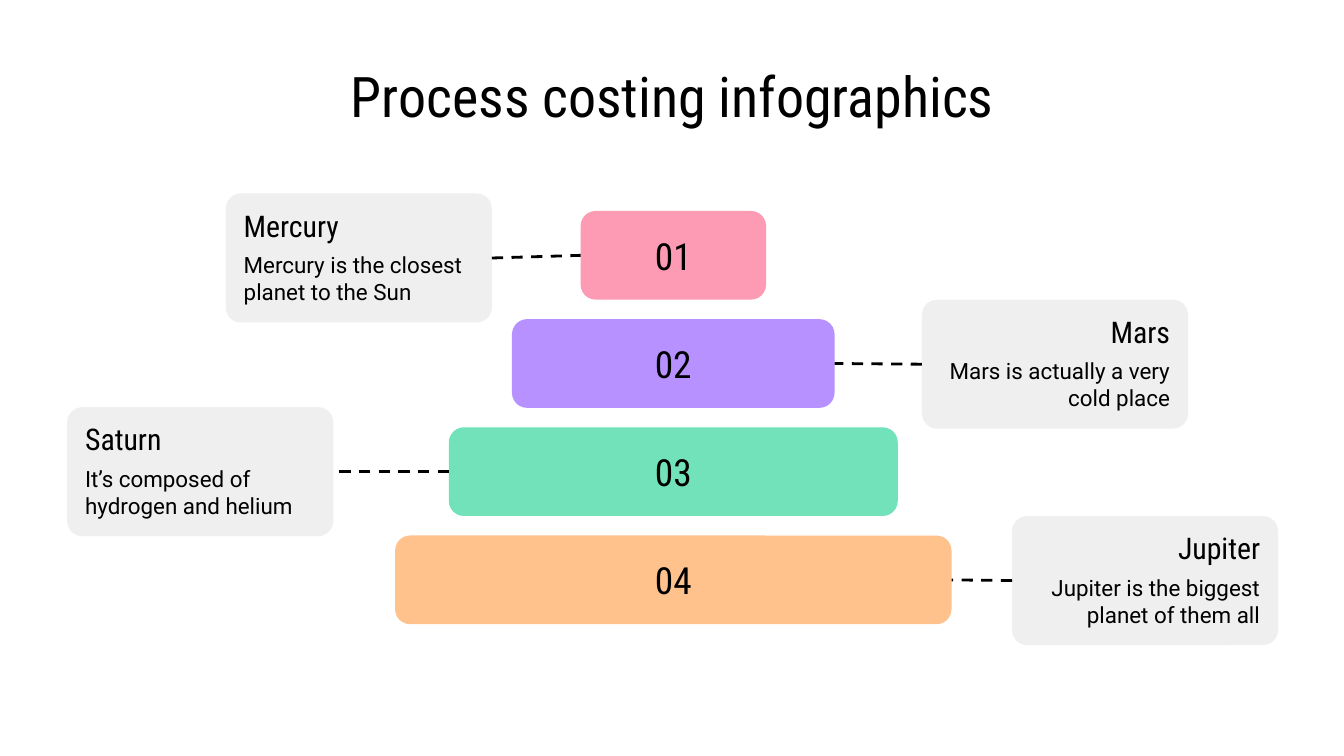
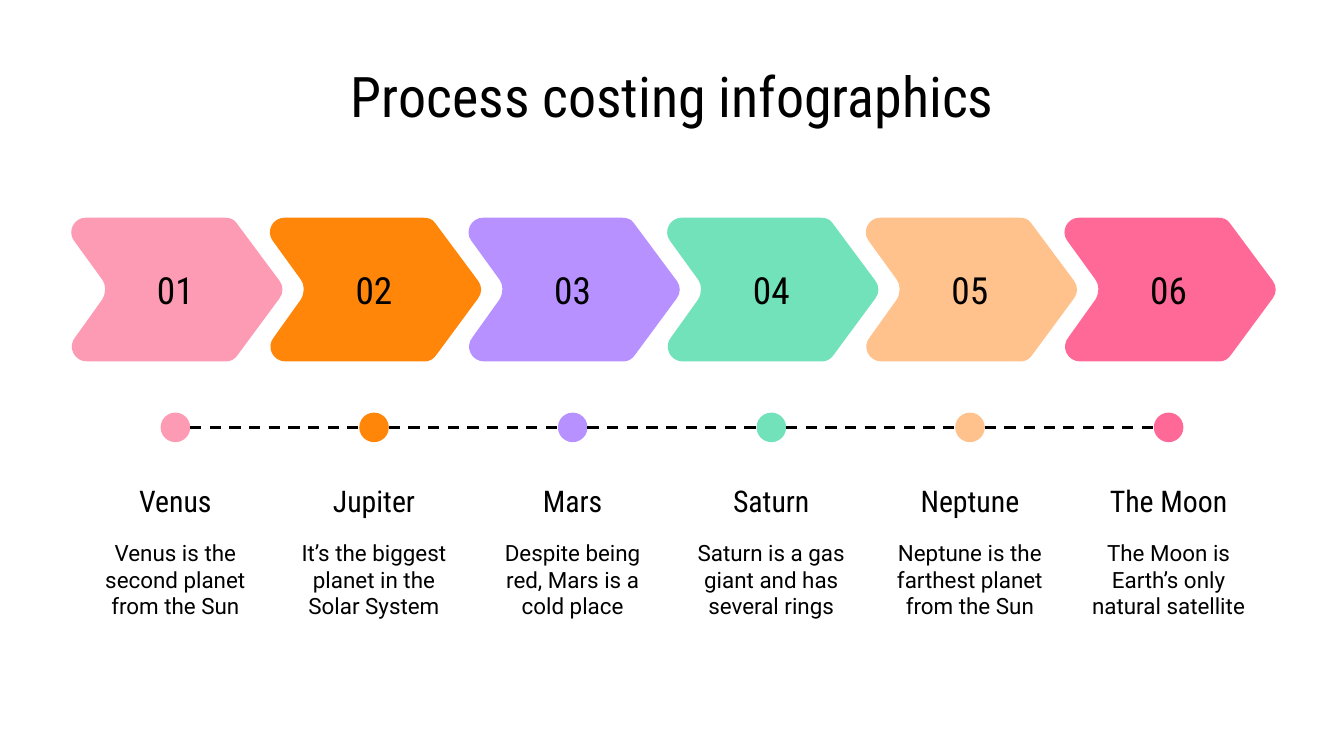
from lxml import etree
from pptx import Presentation
from pptx import util as u
from pptx.dml.color import RGBColor
from pptx.enum import dml, shapes, text
from pptx.oxml.ns import qn

TITLE = "Process costing infographics"
HEAD, BODY = "Roboto Condensed", "Roboto"
COLORS = {
    "ink": "000000", "card": "EFEFEF", "pink": "FD9AB4", "orange": "FF8609",
    "violet": "B791FF", "mint": "71E2B9", "peach": "FFC28C", "rose": "FF6997",
}
ALIGN = {"left": text.PP_ALIGN.LEFT, "center": text.PP_ALIGN.CENTER, "right": text.PP_ALIGN.RIGHT}
MIDDLE, TOP = text.MSO_ANCHOR.MIDDLE, text.MSO_ANCHOR.TOP

WIDTH, HEIGHT, MARGIN = 10, 5.625, 0.5
PYRAMID = [
    ("pink", 1.38, "left", 1.68, 1.44, "card", "Mercury", "Mercury is the closest planet to the Sun"),
    ("violet", 2.4, "right", 6.86, 2.23, "card", "Mars", "Mars is actually a very cold place"),
    ("mint", 3.34, "left", 0.5, 3.03, "bar", "Saturn", "It’s composed of hydrogen and helium"),
    ("peach", 4.14, "right", 7.53, 3.84, "card", "Jupiter", "Jupiter is the biggest planet of them all"),
]
BAR_CENTER, BAR_TOP, BAR_HEIGHT, BAR_PITCH = 5.01, 1.57, 0.66, 0.805
CARD_WIDTH, CARD_HEIGHT = 1.98, 0.96

STEPS = [
    ("pink", "Venus", "Venus is the second planet from the Sun"),
    ("orange", "Jupiter", "It’s the biggest planet in the Solar System"),
    ("violet", "Mars", "Despite being red, Mars is a cold place"),
    ("mint", "Saturn", "Saturn is a gas giant and has several rings"),
    ("peach", "Neptune", "Neptune is the farthest planet from the Sun"),
    ("rose", "The Moon", "The Moon is Earth’s only natural satellite"),
]
STEP_WIDTH, STEP_TOP = 1.61, 1.62
STEP_PITCH = (WIDTH - 2 * MARGIN - STEP_WIDTH) / (len(STEPS) - 1)
DOT, DOT_MIDDLE = 0.22, 3.18
CHEVRON_CORNERS = [
    ((0.14, 0), (0.05, 0), (0, 0.1), (0.05, 0.17)),
    ((0.26, 0.46), (0.29, 0.5), (0.29, 0.56), (0.26, 0.61)),
    ((0.06, 0.89), (0, 0.96), (0.05, 1.07), (0.15, 1.07)),
    ((1.18, 1.07), (1.22, 1.07), (1.25, 1.05), (1.27, 1.02)),
    ((1.58, 0.6), (1.61, 0.56), (1.61, 0.51), (1.58, 0.47)),
    ((1.26, 0.04), (1.24, 0.01), (1.21, 0), (1.17, 0)),
]


def inches(*lengths):
    return [u.Inches(length) for length in lengths]


def color(name):
    return RGBColor.from_string(COLORS[name])


def write(shape, words, size, font=HEAD, align="center", anchor=MIDDLE):
    frame = shape.text_frame
    frame.word_wrap = True
    frame.auto_size = text.MSO_AUTO_SIZE.NONE
    frame.vertical_anchor = anchor
    frame.margin_left = frame.margin_right = u.Inches(0.1)
    frame.margin_top = frame.margin_bottom = u.Inches(0.1)
    para = frame.paragraphs[0]
    para.alignment = ALIGN[align]
    span = para.add_run()
    span.text = words
    span.font.name = font
    span.font.size = u.Pt(size)
    span.font.color.rgb = color("ink")


def add_text(page, place, words, size, **style):
    write(page.shapes.add_textbox(*inches(*place)), words, size, **style)


def paint(shape, fill):
    shape.shadow.inherit = False
    shape.fill.solid()
    shape.fill.fore_color.rgb = color(fill)
    shape.line.fill.background()


def add_block(page, kind, place, fill, corner=None):
    block = page.shapes.add_shape(kind, *inches(*place))
    paint(block, fill)
    if corner is not None:
        block.adjustments[0] = corner
    return block


def add_dashes(page, start=(0, 0), end=(0, 0)):
    line = page.shapes.add_connector(shapes.MSO_CONNECTOR.STRAIGHT, *inches(*start, *end))
    line.line.color.rgb = color("ink")
    line.line.width = u.Pt(1.5)
    line.line.dash_style = dml.MSO_LINE.DASH
    etree.SubElement(line._element.spPr, qn("a:effectLst"))
    return line


def add_page(deck):
    page = deck.slides.add_slide(deck.slide_layouts[5])
    title = page.shapes.title
    title.left, title.top, title.width, title.height = inches(MARGIN, 0.45, 9.01, 0.52)
    write(title, TITLE, 30)
    return page


def add_card(page, left, top, side, name, fact):
    rounded = shapes.MSO_SHAPE.ROUNDED_RECTANGLE
    card = add_block(page, rounded, (left, top, CARD_WIDTH, CARD_HEIGHT), "card", 0.117)
    inner = CARD_WIDTH - 0.07
    add_text(page, (left + 0.035, top + 0.085, inner, 0.3), name, 16, align=side)
    add_text(page, (left + 0.035, top + 0.385, inner, 0.49), fact, 12, font=BODY, align=side)
    return card


def add_pyramid(page):
    for row, (fill, width, side, left, top, first, name, fact) in enumerate(PYRAMID):
        place = (BAR_CENTER - width / 2, BAR_TOP + row * BAR_PITCH, width, BAR_HEIGHT)
        bar = add_block(page, shapes.MSO_SHAPE.ROUNDED_RECTANGLE, place, fill, 0.17)
        write(bar, f"{row + 1:02}", 20)
        card = add_card(page, left, top, side, name, fact)
        card_site, bar_site = (3, 1) if side == "left" else (1, 3)
        ends = [(card, card_site), (bar, bar_site)]
        if first == "bar":
            ends.reverse()
        link = add_dashes(page)
        link.begin_connect(*ends[0])
        link.end_connect(*ends[1])


def round_corners(shape):
    lines = list(shape._element.iter(qn("a:lnTo")))
    for start in range(0, len(lines), 4):
        curve, *rest = lines[start:start + 3]
        curve.tag = qn("a:cubicBezTo")
        for line in rest:
            curve.append(line[0])
            line.getparent().remove(line)


def add_chevron(page, left, fill):
    outline = [inches(left + x, STEP_TOP + y) for corner in CHEVRON_CORNERS for x, y in corner]
    builder = page.shapes.build_freeform(*outline[0])
    builder.add_line_segments(outline[1:], close=True)
    chevron = builder.convert_to_shape()
    round_corners(chevron)
    paint(chevron, fill)
    return chevron


def add_timeline(page):
    for column, (fill, name, fact) in enumerate(STEPS):
        left = MARGIN + column * STEP_PITCH
        center = left + STEP_WIDTH / 2
        write(add_chevron(page, left, fill), f"{column + 1:02}", 20)
        place = (center - DOT / 2, DOT_MIDDLE - DOT / 2, DOT, DOT)
        add_block(page, shapes.MSO_SHAPE.OVAL, place, fill)
        if column < len(STEPS) - 1:
            add_dashes(page, (center + DOT / 2, DOT_MIDDLE), (center + STEP_PITCH - DOT / 2, DOT_MIDDLE))
        add_text(page, (left + 0.05, 3.55, STEP_WIDTH - 0.1, 0.35), name, 16)
        add_text(page, (left + 0.05, 3.91, STEP_WIDTH - 0.1, 0.77), fact, 12, font=BODY, anchor=TOP)


def main():
    deck = Presentation()
    deck.slide_width, deck.slide_height = inches(WIDTH, HEIGHT)
    add_pyramid(add_page(deck))
    add_timeline(add_page(deck))
    deck.save("out.pptx")


if __name__ == "__main__":
    main()
